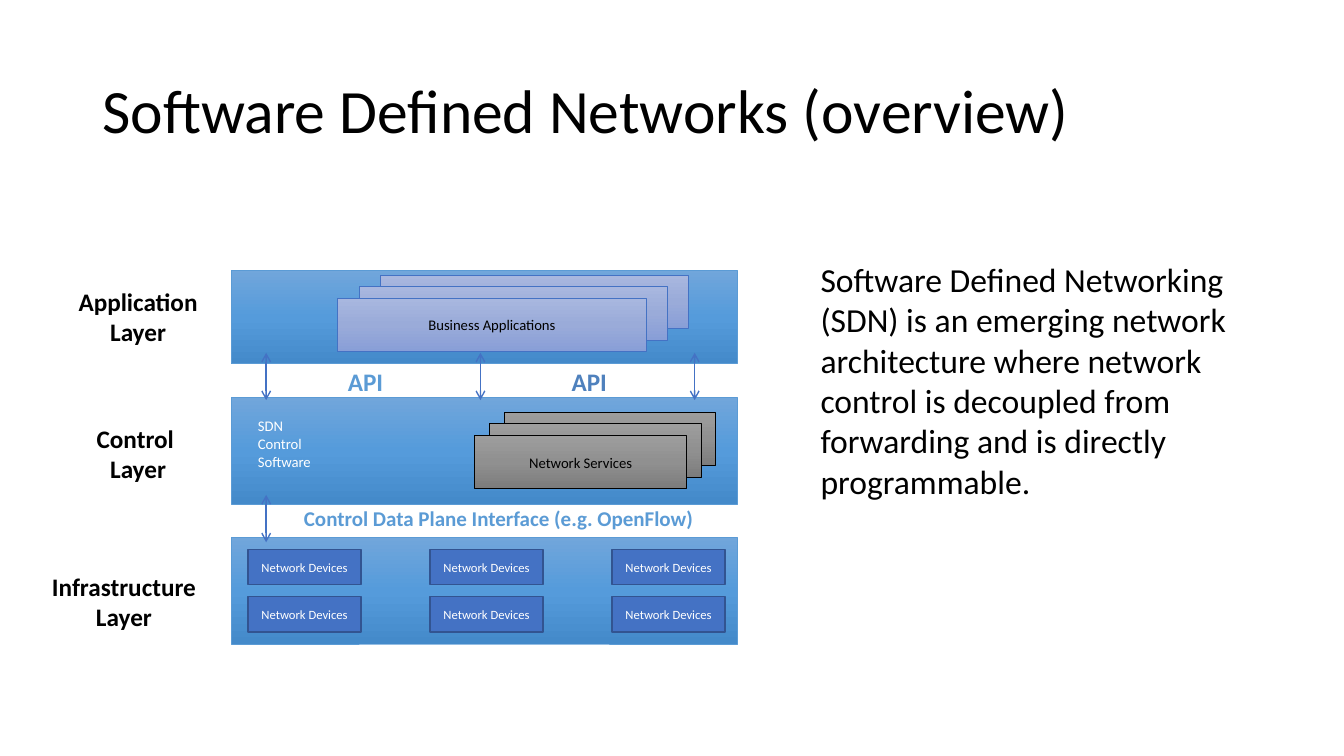
from copy import deepcopy
from dataclasses import dataclass

from lxml import etree
from pptx import Presentation
from pptx.dml.color import RGBColor
from pptx.enum.shapes import MSO_CONNECTOR, MSO_SHAPE
from pptx.enum.text import MSO_ANCHOR, PP_ALIGN
from pptx.oxml.ns import qn
from pptx.util import Pt

RECT = MSO_SHAPE.RECTANGLE
STRAIGHT = MSO_CONNECTOR.STRAIGHT
LEFT, CENTER = PP_ALIGN.LEFT, PP_ALIGN.CENTER
TOP, MIDDLE = MSO_ANCHOR.TOP, MSO_ANCHOR.MIDDLE
PX = 9144  # EMU in one px, 100 px to the inch


@dataclass(frozen=True)
class Theme:
    font: str = "Calibri"
    black: str = "000000"
    white: str = "FFFFFF"
    sky: str = "5B9BD5"
    api_blue: str = "4F81BD"
    blue: str = "4472C4"
    navy: str = "325491"
    band_fill: tuple = ("71A6DB", "559BDB", "448ACA")
    apps_fill: tuple = ("A8B7DF", "9AABD9", "889ED7")
    services_fill: tuple = ("9D9D9D", "909090", "7C7C7C")
    title: float = 44
    body: float = 24
    label: float = 18
    interface: float = 15
    block: float = 10.5
    device: float = 9


T = Theme()


def rgb(color):
    return RGBColor.from_string(color)


def emu(*lengths):
    return [round(n * PX) for n in lengths]


def write(s, text, size, color=T.black, bold=False, align=LEFT, anchor=TOP,
          wrap=True, inset=(10, 5), spacing=None):
    """Fill a shape with text, one paragraph a line."""
    tf = s.text_frame
    tf.word_wrap = wrap
    tf.vertical_anchor = anchor
    tf.margin_left, tf.margin_top = emu(*inset)
    tf.margin_right, tf.margin_bottom = emu(*inset)
    for i, line in enumerate(text.split("\n")):
        p = tf.add_paragraph() if i else tf.paragraphs[0]
        p.alignment = align
        p.line_spacing = spacing
        r = p.add_run()
        r.text = line
        r.font.name, r.font.size, r.font.bold = T.font, Pt(size), bold
        r.font.color.rgb = rgb(color)


def add_text(slide, box, text, size, **style):
    write(slide.shapes.add_textbox(*emu(*box)), text, size, **style)


def add_rect(slide, box, fill, line, width=0.5):
    """Add a rectangle; a tuple of colours makes a vertical gradient."""
    s = slide.shapes.add_shape(RECT, *emu(*box))
    s.shadow.inherit = False
    s.line.color.rgb, s.line.width = rgb(line), Pt(width)
    if isinstance(fill, str):
        s.fill.solid()
        s.fill.fore_color.rgb = rgb(fill)
        return s
    s.fill.gradient()
    s.fill.gradient_angle = 270
    stops = s._element.spPr.find(qn("a:gradFill")).find(qn("a:gsLst"))
    stops.append(deepcopy(stops[0]))
    for i, (stop, color) in enumerate(zip(s.fill.gradient_stops, fill)):
        stop.position = i / (len(fill) - 1)
        stop.color.rgb = rgb(color)
    return s


def add_double_arrow(slide, x, y, length=47):
    c = slide.shapes.add_connector(STRAIGHT, *emu(x, y, x, y + length))
    c.line.color.rgb, c.line.width = rgb(T.blue), Pt(1)
    for end in ("a:headEnd", "a:tailEnd"):
        etree.SubElement(c.line._get_or_add_ln(), qn(end), type="arrow")
    etree.SubElement(c._element.spPr, qn("a:effectLst"))


def add_stack(slide, front, spread, text, fill, line):
    """Three overlapping cards, the front one labelled."""
    x, y, w, h = front
    for depth in (1, 0.5, 0):
        box = (x + depth * spread[0], y + depth * spread[1], w, h)
        card = add_rect(slide, box, fill, line)
    write(card, text, T.block, align=CENTER, anchor=MIDDLE, inset=(7, 4))


def layer(slide, box, name, label_center):
    """Band with its bold name to the left."""
    add_rect(slide, box, T.band_fill, T.sky)
    cx, y = label_center
    add_text(slide, (cx - 92, y, 184, 71), name, T.label, bold=True,
             align=CENTER, wrap=False)


def application_layer(slide, box):
    x, y, w, h = box
    layer(slide, box, "Application\nLayer", (x - 92, y + 11))
    add_stack(slide, (x + 106, y + 28, 306, 53), (42, -23),
              "Business Applications", T.apps_fill, T.blue)


def control_layer(slide, box):
    x, y, w, h = box
    layer(slide, box, "Control \nLayer", (x - 92, y + 21))
    add_stack(slide, (x + 242, y + 38, 210, 53), (29, -23),
              "Network Services", T.services_fill, T.black)
    add_text(slide, (x + 17, y + 15, 78, 63), "SDN\nControl\nSoftware", T.block,
             color=T.white, wrap=False)


def infrastructure_layer(slide, box):
    x, y, w, h = box
    layer(slide, box, "Infrastructure\nLayer", (x - 106, y + 29))
    for row in range(2):
        for col in range(3):
            cell = (x + 17 + col * 180.5, y + 12 + row * 47, 112, 35)
            device = add_rect(slide, cell, T.blue, T.navy, width=1)
            write(device, "Network Devices", T.device, color=T.white,
                  align=CENTER, anchor=MIDDLE)


def interfaces(slide, x, api_y, plane_y):
    """Arrows and names in the gaps between the layers."""
    for i in range(3):
        add_double_arrow(slide, x + 35 + i * 212.5, api_y - 11)
    for dx, color in ((105, T.sky), (327, T.api_blue)):
        add_text(slide, (x + dx, api_y - 2, 57, 38), "API", T.label, color=color,
                 bold=True, align=CENTER, wrap=False, inset=(7, 4))
    add_double_arrow(slide, x + 35, plane_y - 9)
    add_text(slide, (x + 35, plane_y - 3, 461, 33),
             "Control Data Plane Interface (e.g. OpenFlow)", T.interface,
             color=T.sky, bold=True, align=CENTER, inset=(7, 4))


def architecture(slide, box):
    x, y, w, h = box
    application_layer(slide, (x, y, w, 93))
    control_layer(slide, (x, y + 126, w, 106))
    infrastructure_layer(slide, (x, y + h - 106, w, 106))
    interfaces(slide, x, y + 93, y + 232)


def main():
    prs = Presentation()
    prs.slide_width, prs.slide_height = emu(1333, 750)
    slide = prs.slides.add_slide(prs.slide_layouts[6])
    # Title
    add_text(slide, (92, 40, 1150, 145), "Software Defined Networks (overview)",
             T.title, anchor=MIDDLE, spacing=0.9)
    # Layer diagram
    architecture(slide, (229, 268, 502, 371))
    # Explanation
    add_text(slide, (804, 252, 454, 252),
             "Software Defined Networking (SDN) is an emerging network "
             "architecture where network control is decoupled from "
             "forwarding and is directly programmable.", T.body)
    prs.save("out.pptx")


if __name__ == "__main__":
    main()
